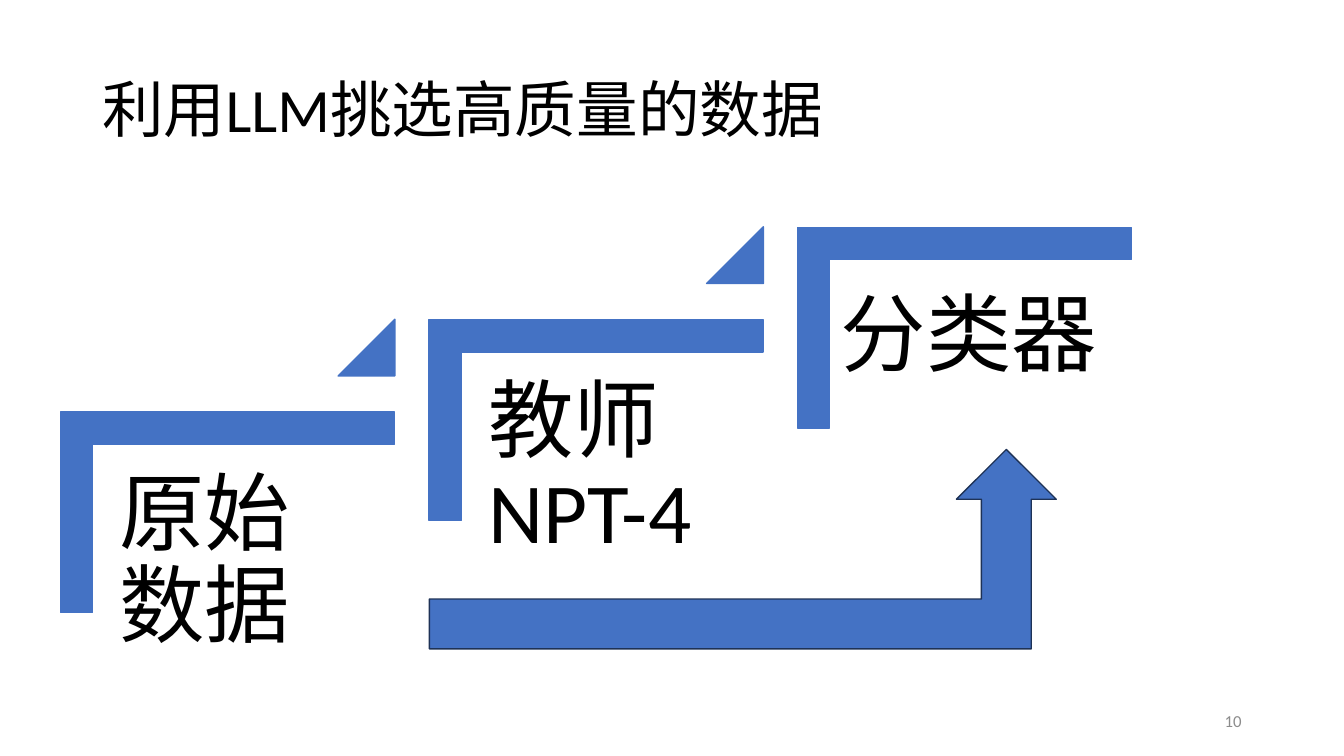
from pptx import Presentation
from pptx.dml.color import RGBColor
from pptx.enum.shapes import MSO_SHAPE as Preset
from pptx.enum.text import MSO_ANCHOR as Anchor, PP_ALIGN as Align
from pptx.util import Pt

PX = 9525
WIDTH, HEIGHT = 1280, 720
BLUE = RGBColor(0x44, 0x72, 0xC4)
NAVY = RGBColor(0x1E, 0x32, 0x56)
BLACK = RGBColor(0, 0, 0)
GRAY = RGBColor(0x8C, 0x8C, 0x8C)
FONT = "Calibri"

STEP_PITCH, STEP_RISE = 351, 88
BRACKET_WIDTH, BRACKET_HEIGHT = 318, 191
BRACKET_THICKNESS = 0.161
MARKER_SIZE = 54
LABEL_INSET = 24
STEPS = [
    ("原始数据", (32, 32, 287, 252)),
    ("教师NPT-4", (32, 32, 287, 252)),
    ("分类器", (17, 38, 318, 247)),
]


def emu(*lengths):
    return [length * PX for length in lengths]


def add_text(slide, box, text, size, color=BLACK, anchor=Anchor.TOP,
             align=Align.LEFT, spacing=0.9, inset=None):
    frame = slide.shapes.add_textbox(*emu(*box)).text_frame
    frame.word_wrap = True
    frame.vertical_anchor = anchor
    if inset is not None:
        frame.margin_left = frame.margin_right = inset * PX
        frame.margin_top = frame.margin_bottom = inset * PX
    frame.text = text
    paragraph = frame.paragraphs[0]
    paragraph.alignment = align
    paragraph.line_spacing = spacing
    for run in paragraph.runs:
        run.font.name = FONT
        run.font.size = Pt(size)
        run.font.color.rgb = color


def add_blue_shape(slide, preset, box, adjustments=(), outline=BLUE):
    shape = slide.shapes.add_shape(preset, *emu(*box))
    shape.shadow.inherit = False
    shape.fill.solid()
    shape.fill.fore_color.rgb = BLUE
    shape.line.color.rgb = outline
    shape.line.width = Pt(1)
    for index, value in enumerate(adjustments):
        shape.adjustments[index] = value
    return shape


def add_step(slide, left, top, label, label_box, has_next):
    turn = (BRACKET_WIDTH - BRACKET_HEIGHT) / 2
    bracket_box = (left + int(turn), top - int(turn),
                   BRACKET_HEIGHT, BRACKET_WIDTH)
    bracket = add_blue_shape(slide, Preset.CORNER, bracket_box,
                             (BRACKET_THICKNESS, BRACKET_THICKNESS))
    bracket.rotation = 90
    dx, dy, width, height = label_box
    add_text(slide, (left + dx, top + dy, width, height), label, 61,
             inset=LABEL_INSET)
    if has_next:
        marker_box = (left + BRACKET_WIDTH - MARKER_SIZE, top - STEP_RISE,
                      MARKER_SIZE, MARKER_SIZE)
        add_blue_shape(slide, Preset.ISOSCELES_TRIANGLE, marker_box, (1,))


def add_staircase(slide, left, top):
    for index, (label, label_box) in enumerate(STEPS):
        add_step(slide, left + index * STEP_PITCH, top - index * STEP_RISE,
                 label, label_box, index < len(STEPS) - 1)


def main():
    deck = Presentation()
    deck.slide_width, deck.slide_height = emu(WIDTH, HEIGHT)
    slide = deck.slides.add_slide(deck.slide_layouts[6])
    add_text(slide, (88, 38, 1104, 139), "利用LLM挑选高质量的数据", 44,
             anchor=Anchor.MIDDLE)
    add_staircase(slide, 58, 392)
    add_text(slide, (904, 667, 288, 38), "10", 12, GRAY,
             Anchor.MIDDLE, Align.RIGHT, 1.0)
    add_blue_shape(slide, Preset.BENT_UP_ARROW, (409, 428, 597, 190),
                   outline=NAVY)
    deck.save("out.pptx")


if __name__ == "__main__":
    main()
